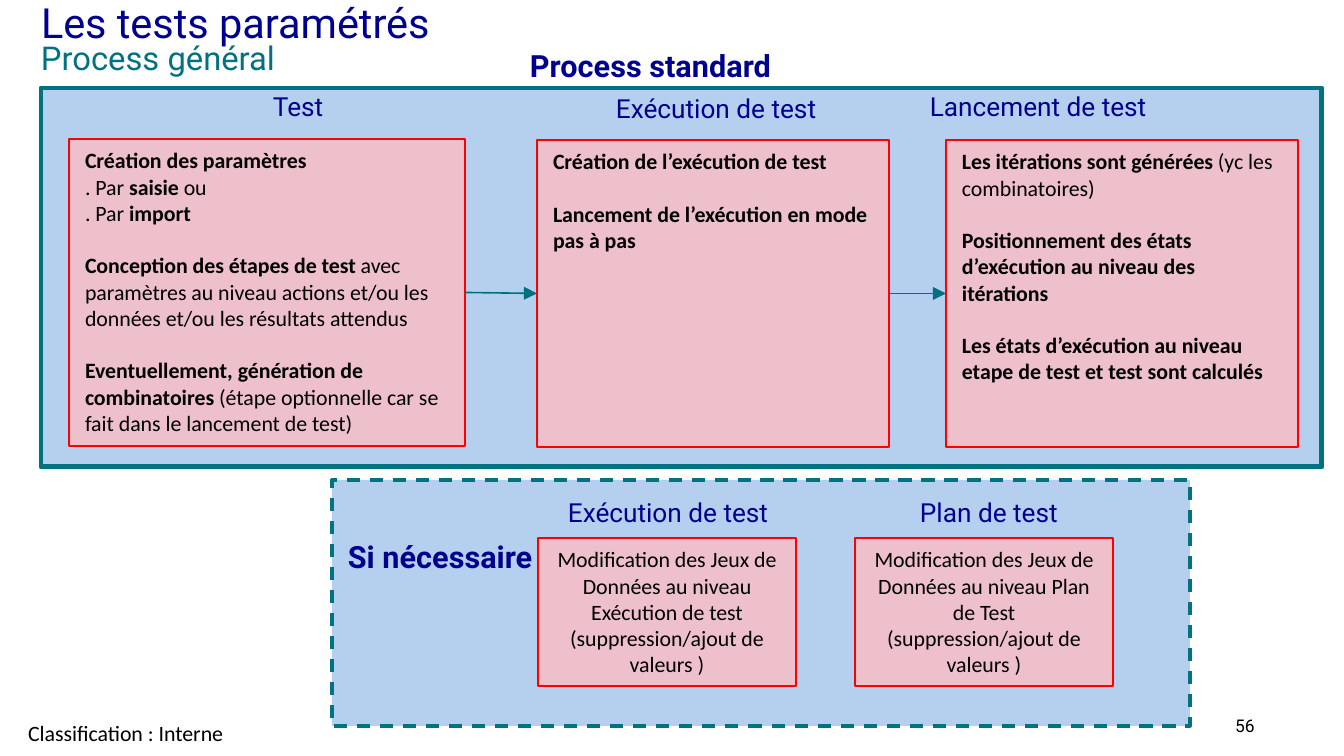
from pptx import Presentation
from pptx.dml.color import RGBColor
from pptx.enum.dml import MSO_LINE
from pptx.enum.shapes import MSO_CONNECTOR, MSO_SHAPE
from pptx.enum.text import MSO_ANCHOR, MSO_AUTO_SIZE, PP_ALIGN
from pptx.oxml.ns import qn
from pptx.util import Emu, Pt
from lxml import etree

PX = 5810
RECTANGLE = MSO_SHAPE.RECTANGLE
STRAIGHT = MSO_CONNECTOR.STRAIGHT
DASH = MSO_LINE.DASH
TOP, BOTTOM = MSO_ANCHOR.TOP, MSO_ANCHOR.BOTTOM
LEFT, CENTER = PP_ALIGN.LEFT, PP_ALIGN.CENTER
NO_AUTOFIT = MSO_AUTO_SIZE.NONE
LEFT_SITE, RIGHT_SITE = 1, 3

COLORS = {
    "navy": "00008F",
    "teal": "027180",
    "arrow": "00707F",
    "panel": "B5D0EE",
    "step": "EDC0CC",
    "red": "FF0000",
    "black": "000000",
}

STANDARD_STEPS = [
    ("Test", (232, 2), (28, 51, 396, 307), [
        (0, [("Création des paramètres", True)]),
        (0, [(". Par ", False), ("saisie", True), (" ou", False)]),
        (0, [(". Par ", False), ("import", True)]),
        (12, [("Conception des étapes de test ", True),
              ("avec paramètres au niveau actions et/ou les données "
               "et/ou les résultats attendus", False)]),
        (12, [("Eventuellement, génération de combinatoires ", True),
              ("(étape optionnelle car se fait dans le lancement de test)", False)]),
    ]),
    ("Exécution de test", (575, 4), (496, 52, 352, 307), [
        (0, [("Création de l’exécution de test", True)]),
        (12, [("Lancement de l’exécution en mode pas à pas", True)]),
    ]),
    ("Lancement de test", (889, 2), (905, 52, 352, 307), [
        (0, [("Les itérations sont générées ", True), ("(yc les combinatoires)", False)]),
        (12, [("Positionnement des états d’exécution au niveau des itérations", True)]),
        (12, [("Les états d’exécution au niveau etape de test et test sont calculés", True)]),
    ]),
]

OPTIONAL_STEPS = [
    ("Exécution de test", (236, 16), (206, 58, 258, 148), [
        (0, [("Modification des Jeux de Données au niveau Exécution de test", False)]),
        (0, [("(suppression/ajout de valeurs )", False)]),
    ]),
    ("Plan de test", (588, 16), (523, 58, 258, 148), [
        (0, [("Modification des Jeux de Données au niveau Plan de Test "
              "(suppression/ajout de valeurs )", False)]),
    ]),
]


def rgb(name):
    return RGBColor.from_string(COLORS[name])


def emu(*lengths):
    return [Emu(length * PX) for length in lengths]


def within(box, left, top, width, height):
    return box[0] + left, box[1] + top, width, height


def write(frame, paragraphs, size, font, color, align=LEFT, anchor=TOP, inset=(0, 0)):
    frame.word_wrap = True
    frame.auto_size = NO_AUTOFIT
    frame.vertical_anchor = anchor
    frame.margin_left, frame.margin_top = emu(*inset)
    frame.margin_right, frame.margin_bottom = emu(*inset)
    for index, (gap, runs) in enumerate(paragraphs):
        paragraph = frame.add_paragraph() if index else frame.paragraphs[0]
        paragraph.alignment = align
        paragraph.space_before = Pt(gap)
        for text, bold in runs:
            run = paragraph.add_run()
            run.text = text
            run.font.size = Pt(size)
            run.font.name = font
            run.font.bold = bold
            run.font.color.rgb = rgb(color)


def label(slide, box, text, size, color="navy", font="Roboto", bold=False, anchor=TOP):
    frame = slide.shapes.add_textbox(*emu(*box)).text_frame
    write(frame, [(0, [(text, bold)])], size, font, color, anchor=anchor)


def rectangle(slide, box, fill, outline, weight):
    shape = slide.shapes.add_shape(RECTANGLE, *emu(*box))
    shape.shadow.inherit = False
    shape.fill.solid()
    shape.fill.fore_color.rgb = rgb(fill)
    shape.line.color.rgb = rgb(outline)
    shape.line.width = Pt(weight)
    return shape


def steps(slide, box, contents, align):
    cards = []
    for heading, (left, top), card_box, paragraphs in contents:
        label(slide, within(box, left, top, 285, 49), heading, 12)
        card = rectangle(slide, within(box, *card_box), "step", "red", 1)
        write(card.text_frame, paragraphs, 10, "Calibri", "black", align, inset=(16, 8))
        cards.append(card)
    return cards


def arrow(slide, source, target):
    connector = slide.shapes.add_connector(STRAIGHT, 0, 0, 0, 0)
    connector.begin_connect(source, RIGHT_SITE)
    connector.end_connect(target, LEFT_SITE)
    connector.line.color.rgb = rgb("arrow")
    connector.line.width = Pt(0.75)
    etree.SubElement(connector.line._get_or_add_ln(), qn("a:tailEnd"), type="triangle")
    etree.SubElement(connector._element.spPr, qn("a:effectLst"))


def header(slide, box):
    title = slide.shapes.title
    title.left, title.top, title.width, title.height = emu(*within(box, 0, 0, box[2], 49))
    write(title.text_frame, [(0, [("Les tests paramétrés", False)])], 19, "Roboto", "navy")
    label(slide, within(box, 0, 41, box[2], 38), "Process général", 15, "teal")


def standard_process(slide, box):
    rectangle(slide, box, "panel", "teal", 2.25)
    label(slide, within(box, 489, -41, 285, 49), "Process standard", 14, bold=True)
    cards = steps(slide, box, STANDARD_STEPS, LEFT)
    for source, target in zip(cards, cards[1:]):
        arrow(slide, source, target)


def optional_process(slide, box):
    panel = rectangle(slide, box, "panel", "teal", 1.5)
    panel.line.dash_style = DASH
    steps(slide, box, OPTIONAL_STEPS, CENTER)
    label(slide, within(box, 16, 58, 190, 49), "Si nécessaire", 14, bold=True)


def footer(slide, box):
    label(slide, within(box, 28, 10, 224, 27), "Classification : Interne", 10, "black", "Calibri")
    label(slide, within(box, 1235, 1, 38, 25), "56", 8, "black", anchor=BOTTOM)


def main():
    deck = Presentation()
    deck.slide_width, deck.slide_height = emu(1344, 756)
    slide = deck.slides.add_slide(deck.slide_layouts[5])
    header(slide, (41, -3, 1264, 79))
    standard_process(slide, (41, 88, 1281, 379))
    optional_process(slide, (332, 480, 858, 246))
    footer(slide, (0, 710, 1344, 46))
    deck.save("out.pptx")


if __name__ == "__main__":
    main()
